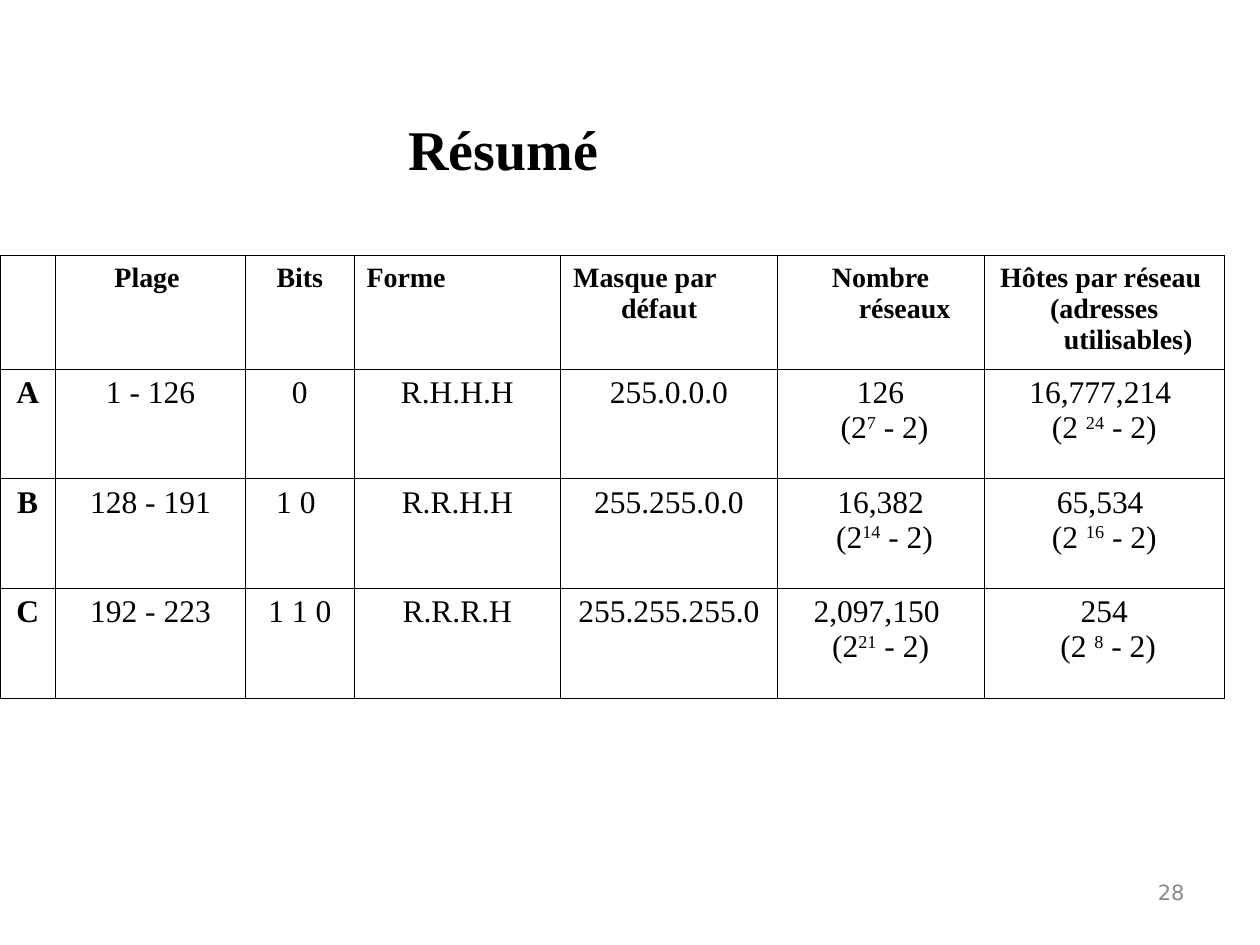
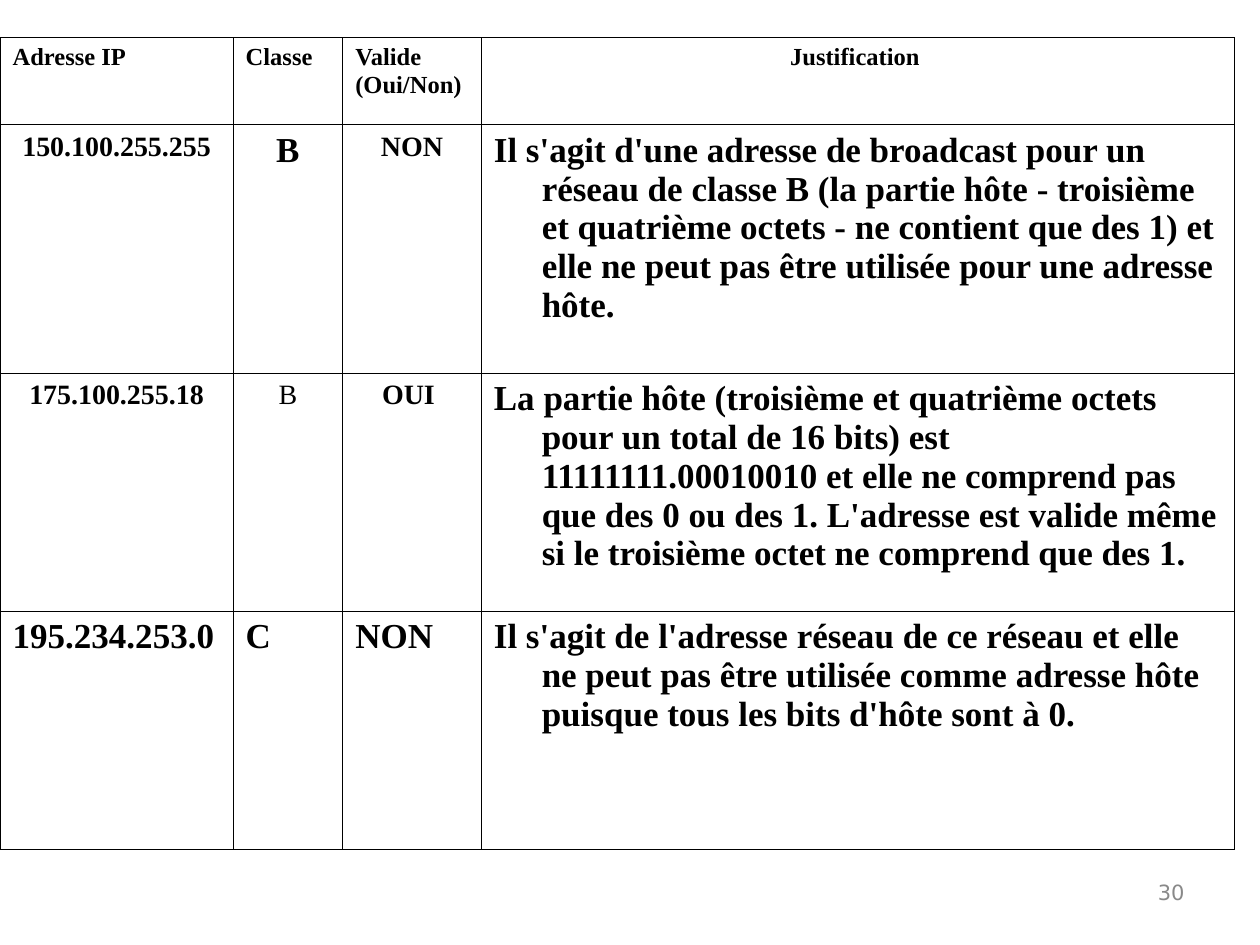
from collections import namedtuple

from lxml import etree
from pptx import Presentation
from pptx.dml.color import RGBColor
from pptx.enum.text import MSO_ANCHOR, MSO_AUTO_SIZE, PP_ALIGN
from pptx.oxml.ns import qn
from pptx.util import Inches, Pt

LEFT, CENTER, RIGHT = PP_ALIGN.LEFT, PP_ALIGN.CENTER, PP_ALIGN.RIGHT
TOP, MIDDLE = MSO_ANCHOR.TOP, MSO_ANCHOR.MIDDLE
NO_AUTOSIZE = MSO_AUTO_SIZE.NONE
BLACK = RGBColor(0x00, 0x00, 0x00)
GRAY = RGBColor(0x89, 0x89, 0x89)
SERIF, SANS = "Times New Roman", "DejaVu Sans"
TITLE_ONLY, BLANK = 5, 6
HANGING = Inches(0.38)
BORDER_WIDTH = Pt(0.45)

Style = namedtuple("Style", "size bold align")
HEAD = Style(16, True, CENTER)
HEAD_LEFT = Style(16, True, LEFT)
CLASS_NAME = Style(18, True, CENTER)
VALUE = Style(18, False, CENTER)
SMALL_HEAD = Style(14, True, LEFT)
SMALL_HEAD_CENTER = Style(14, True, CENTER)
LARGE = Style(20, True, LEFT)
LARGE_CENTER = Style(20, True, CENTER)
PLAIN_CLASS = Style(16, False, CENTER)


class Deck:
    """Build slides that share fonts, tables and page numbers."""

    def __init__(self):
        self.prs = Presentation()
        self.prs.slide_width, self.prs.slide_height = Inches(10), Inches(7.5)
        self.s = None

    def slide(self, layout, number):
        self.s = self.prs.slides.add_slide(self.prs.slide_layouts[layout])
        box = self.s.shapes.add_textbox(Inches(7.17), Inches(6.83), Inches(2.33), Inches(0.5))
        tf = box.text_frame
        tf.word_wrap, tf.vertical_anchor = True, MIDDLE
        tf.text = number
        self.format(tf.paragraphs[0], Style(12, False, RIGHT), SANS, GRAY)

    def format(self, p, style, font=SERIF, color=BLACK):
        p.alignment = style.align
        for r in p.runs:
            r.font.name, r.font.size, r.font.bold = font, Pt(style.size), style.bold
            r.font.color.rgb = color

    def title(self, text, left, top, width, height):
        sp = self.s.shapes.title
        sp.left, sp.top, sp.width, sp.height = map(Inches, (left, top, width, height))
        tf = sp.text_frame
        tf.text = text
        tf.word_wrap, tf.auto_size, tf.vertical_anchor = True, NO_AUTOSIZE, TOP
        self.format(tf.paragraphs[0], Style(32, True, LEFT))

    def table(self, top, widths, heights, rows, styles):
        frame = self.s.shapes.add_table(len(heights), len(widths), 0, Inches(top),
                                        Inches(sum(widths)), Inches(sum(heights)))
        table = frame.table
        table.first_row = table.horz_banding = False
        for column, width in zip(table.columns, widths):
            column.width = Inches(width)
        for row, height, texts, row_styles in zip(table.rows, heights, rows, styles):
            row.height = Inches(height)
            for cell, text, style in zip(row.cells, texts, row_styles):
                self.cell(cell, text, style)

    def cell(self, cell, text, style):
        cell.fill.background()
        self.borders(cell)
        tf = cell.text_frame
        for i, line in enumerate(text.split("\n")):
            p = tf.add_paragraph() if i else tf.paragraphs[0]
            pPr = p._p.get_or_add_pPr()
            pPr.set("marL", str(HANGING))
            pPr.set("indent", str(-HANGING))
            for j, part in enumerate(line.split("^")):
                r = p.add_run()
                r.text = part
                if j % 2:
                    r.font._element.set("baseline", "30000")
            self.format(p, style)

    def borders(self, cell):
        tcPr = cell._tc.get_or_add_tcPr()
        for i, side in enumerate("LRTB"):
            ln = etree.Element(qn(f"a:ln{side}"), w=str(BORDER_WIDTH))
            fill = etree.SubElement(ln, qn("a:solidFill"))
            etree.SubElement(fill, qn("a:srgbClr"), val=str(BLACK))
            tcPr.insert(i, ln)


def class_summary(deck):
    deck.slide(TITLE_ONLY, "28")
    deck.title("Résumé", 3.14, 0.86, 1.77, 0.64)
    rows = [
        ["", "Plage ", "Bits", "Forme", "Masque par défaut", "Nombre réseaux",
         "Hôtes par réseau \n(adresses utilisables)"],
        ["A", "1 - 126", "0", "R.H.H.H", "255.0.0.0", "126\n (2^7^ - 2)",
         "16,777,214 \n(2 ^24^ - 2)"],
        ["B", "128 - 191", "1 0 ", "R.R.H.H", "255.255.0.0", "16,382\n (2^14^ - 2)",
         "65,534 \n(2 ^16^ - 2)"],
        ["C", "192 - 223", "1 1 0", "R.R.R.H", "255.255.255.0", "2,097,150 \n(2^21^ - 2)",
         "254\n (2 ^8^ - 2)"],
    ]
    header = [HEAD] * 3 + [HEAD_LEFT] * 2 + [HEAD] * 2
    body = [CLASS_NAME] + [VALUE] * 6
    deck.table(2.03, [0.44, 1.51, 0.86, 1.64, 1.72, 1.64, 1.91], [0.9] + [0.87] * 3,
               rows, [header] + [body] * 3)


def address_validity(deck):
    deck.slide(BLANK, "30")
    rows = [
        ["Adresse IP", "Classe", "Valide\n(Oui/Non)", "Justification "],
        ["150.100.255.255", "B", "NON",
         "Il s'agit d'une adresse de broadcast pour un réseau de classe B (la partie hôte - "
         "troisième et quatrième octets - ne contient que des 1) et elle ne peut pas être "
         "utilisée pour une adresse hôte."],
        ["175.100.255.18", "B", "OUI ",
         "La partie hôte (troisième et quatrième octets pour un total de 16 bits) est "
         "11111111.00010010 et elle ne comprend pas que des 0 ou des 1. L'adresse est valide "
         "même si le troisième octet ne comprend que des 1."],
        ["195.234.253.0", "C", "NON ",
         "Il s'agit de l'adresse réseau de ce réseau et elle ne peut pas être utilisée comme "
         "adresse hôte puisque tous les bits d'hôte sont à 0."],
    ]
    styles = [
        [SMALL_HEAD] * 3 + [SMALL_HEAD_CENTER],
        [HEAD, LARGE_CENTER, HEAD, LARGE],
        [HEAD, PLAIN_CLASS, HEAD, LARGE],
        [LARGE] * 4,
    ]
    deck.table(0.3, [1.85, 0.87, 1.1, 5.98], [0.69, 1.97, 1.89, 1.89], rows, styles)


def main():
    deck = Deck()
    class_summary(deck)
    address_validity(deck)
    deck.prs.save("out.pptx")


if __name__ == "__main__":
    main()
